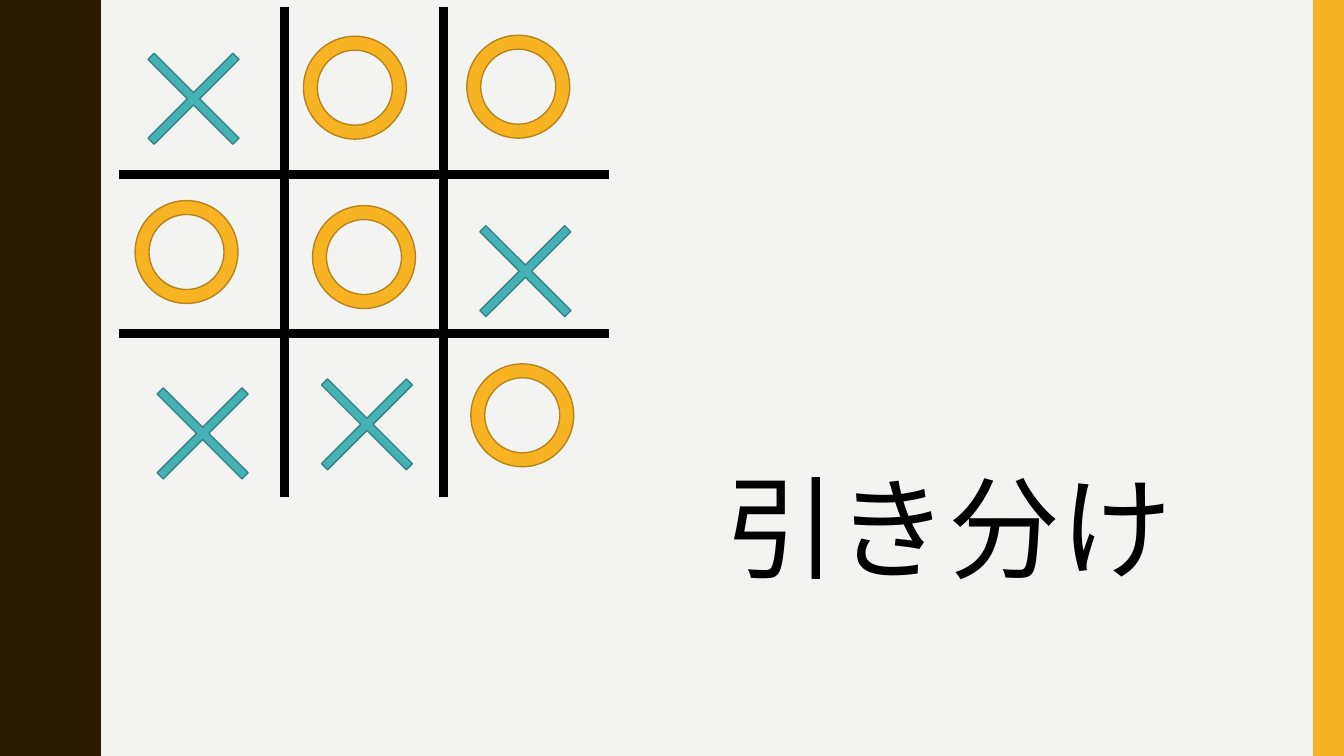
from lxml.etree import SubElement
from pptx import Presentation
from pptx.dml.color import RGBColor
from pptx.enum.shapes import MSO_CONNECTOR, MSO_SHAPE
from pptx.enum.text import MSO_AUTO_SIZE
from pptx.oxml.ns import qn
from pptx.util import Inches, Pt

PAPER = RGBColor(0xF3, 0xF3, 0xF2)
BROWN = RGBColor(0x2A, 0x1A, 0x00)
BLACK = RGBColor(0x00, 0x00, 0x00)
AMBER = RGBColor(0xF8, 0xB3, 0x23)
AMBER_EDGE = RGBColor(0xB7, 0x84, 0x1A)
TEAL = RGBColor(0x46, 0xB2, 0xB5)
TEAL_EDGE = RGBColor(0x34, 0x84, 0x86)

W, H = 13.33, 7.5
CELL = 1.58
MID_X, MID_Y = 3.61, 2.52
REACH = 2.43

prs = Presentation()
prs.slide_width, prs.slide_height = Inches(W), Inches(H)
s = prs.slides.add_slide(prs.slide_layouts[6])
s.background.fill.solid()
s.background.fill.fore_color.rgb = PAPER


def paint(sp, color, edge=None):
    sp.shadow.inherit = False
    sp.fill.solid()
    sp.fill.fore_color.rgb = color
    if edge is None:
        sp.line.fill.background()
    else:
        sp.line.color.rgb = edge
        sp.line.width = Pt(1)


half_wave = [(0.78, 0), (0.78, 0.07), (0.79, 0.14), (0.8, 0.2), (0.81, 0.25),
             (0.83, 0.29), (0.85, 0.33), (0.87, 0.38), (0.89, 0.42), (0.91, 0.46),
             (0.93, 0.5), (0.95, 0.55), (0.96, 0.61), (0.97, 0.68), (0.97, 0.75)]
period = H / 5
wave = half_wave + [(x, period - y) for x, y in reversed(half_wave[:-1])]
edge = [(x, y + i * period) for i in range(5) for x, y in wave]
fb = s.shapes.build_freeform(0, 0, scale=Inches(1))
fb.add_line_segments(edge + [(0, H)], close=True)
paint(fb.convert_to_shape(), BROWN)

sp = s.shapes.add_shape(MSO_SHAPE.RECTANGLE, Inches(13.02), 0, Inches(0.31), Inches(H))
paint(sp, AMBER)

for side in (-0.5, 0.5):
    x, y = MID_X + side * CELL, MID_Y + side * CELL
    for ends in ((x, 2.5 + REACH, x, 2.5 - REACH),
                 (MID_X - REACH, y, MID_X + REACH, y)):
        line = s.shapes.add_connector(MSO_CONNECTOR.STRAIGHT, *map(Inches, ends))
        line.line.color.rgb = BLACK
        line.line.width = Pt(6)
        SubElement(line._element.spPr, qn("a:effectLst"))

styles = {"O": (MSO_SHAPE.DONUT, 1.02, 0.135, AMBER, AMBER_EDGE),
          "X": (MSO_SHAPE.MATH_MULTIPLY, 1.62, 0.053, TEAL, TEAL_EDGE)}
board = ["XOO", "OOX", "XXO"]
nudges = [[(-0.11, 0.04), (-0.09, -0.07), (-0.05, -0.08)],
          [(-0.18, -0.02), (0, 0.03), (0.02, 0.17)],
          [(-0.02, 0.2), (0.03, 0.11), (-0.01, 0.02)]]
for row, marks in enumerate(board):
    for col, mark in enumerate(marks):
        kind, size, adj, color, rim = styles[mark]
        dx, dy = nudges[row][col]
        left = MID_X + (col - 1) * CELL + dx - size / 2
        top = MID_Y + (row - 1) * CELL + dy - size / 2
        sp = s.shapes.add_shape(kind, Inches(left), Inches(top), Inches(size), Inches(size))
        sp.adjustments[0] = adj
        paint(sp, color, rim)

tf = s.shapes.add_textbox(Inches(7.09), Inches(4.5), Inches(5.04), Inches(1.45)).text_frame
tf.word_wrap = True
tf.auto_size = MSO_AUTO_SIZE.SHAPE_TO_FIT_TEXT
p = tf.paragraphs[0]
p.text = "引き分け"
p.font.name = "Calibri"
p.font.size = Pt(80)
p.font.color.rgb = BLACK

prs.save("out.pptx")
